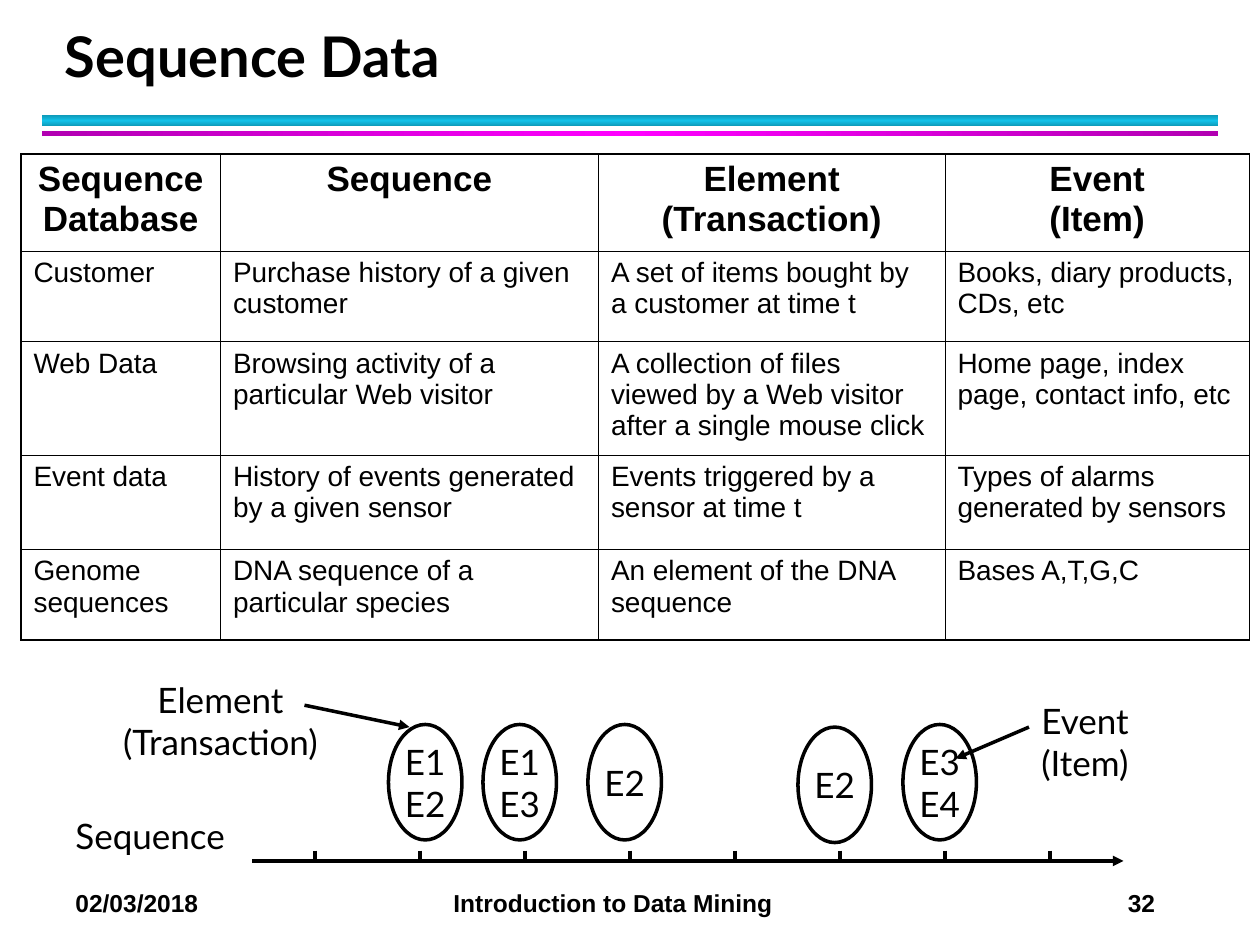
from copy import deepcopy
from typing import NamedTuple

from lxml.etree import SubElement
from pptx import Presentation
from pptx.dml.color import RGBColor
from pptx.enum.shapes import MSO_CONNECTOR, MSO_SHAPE
from pptx.enum.text import MSO_ANCHOR, PP_ALIGN
from pptx.oxml.ns import qn
from pptx.util import Pt

BLACK = RGBColor(0x00, 0x00, 0x00)
TEAL = RGBColor(0x0E, 0x9B, 0xBA)
CYAN = RGBColor(0x12, 0xC2, 0xE9)
PURPLE = RGBColor(0xB2, 0x00, 0xB2)
MAGENTA = RGBColor(0xFF, 0x00, 0xFF)
HEADING, BODY = "Lato", "Arial"
THIN, THICK = 0.45, 1.08
LINE = 2


class Bar(NamedTuple):
    top: float
    height: float
    edge: RGBColor
    middle: RGBColor
    angle: float


class Label(NamedTuple):
    text: str
    left: float
    top: float
    width: float
    height: float
    align: PP_ALIGN = PP_ALIGN.LEFT


class Element(NamedTuple):
    events: str
    left: float
    top: float = 414


class Line(NamedTuple):
    x1: float
    y1: float
    x2: float
    y2: float
    arrow: bool = False


BARS = [Bar(66, 6, TEAL, CYAN, 90), Bar(75, 3, PURPLE, MAGENTA, 0)]

COLUMNS = [114, 216, 198, 174]
ROWS = [55.5, 51.75, 64.8, 54, 51.75]
CELLS = [
    ["Sequence Database", "Sequence", "Element (Transaction)", "Event\v(Item)"],
    ["Customer", "Purchase history of a given customer",
     "A set of items bought by a customer at time t",
     "Books, diary products, CDs, etc"],
    ["Web Data", "Browsing activity of a particular Web visitor",
     "A collection of files viewed by a Web visitor after a single mouse click",
     "Home page, index page, contact info, etc"],
    ["Event data", "History of events generated by a given sensor",
     "Events triggered by a sensor at time t",
     "Types of alarms generated by sensors"],
    ["Genome sequences", "DNA sequence of a particular species",
     "An element of the DNA sequence", "Bases A,T,G,C"],
]

ELEMENTS = [Element("E1\vE2", 222), Element("E1\vE3", 276), Element("E2", 336),
            Element("E3\vE4", 516), Element("E2", 456, 415.5)]
LABELS = [Label("Sequence", 36, 462, 120, 31.5),
          Label("Element (Transaction)", 54, 384, 144, 55.5, PP_ALIGN.CENTER),
          Label("Event\v(Item)", 588, 396, 78, 55.5)]
AXIS_Y = 492
TICKS = [Line(x, AXIS_Y - 6, x, AXIS_Y) for x in range(180, 601, 60)]
ARROWS = [Line(144, AXIS_Y, 642, AXIS_Y, True),
          Line(174, 403, 234, 415.5, True),
          Line(588, 415.5, 546, 433.5, True)]


def write(tf, text: str, font: str, size: float, bold: bool = False,
          align: PP_ALIGN = PP_ALIGN.LEFT):
    tf.text = text
    p = tf.paragraphs[0]
    p.alignment = align
    for r in p.runs:
        r.font.name, r.font.size, r.font.bold = font, Pt(size), bold
        r.font.color.rgb = BLACK
    return p


def add_label(slide, label: Label, font: str = HEADING, size: float = 20,
              bold: bool = False):
    s = slide.shapes.add_textbox(*map(Pt, label[1:5]))
    s.text_frame.word_wrap = True
    return s.text_frame, write(s.text_frame, label.text, font, size, bold, label.align)


def add_bar(slide, bar: Bar) -> None:
    s = slide.shapes.add_shape(MSO_SHAPE.RECTANGLE, Pt(24), Pt(bar.top),
                               Pt(672), Pt(bar.height))
    s.shadow.inherit = False
    s.line.fill.background()
    s.fill.gradient()
    s.fill.gradient_angle = bar.angle
    stop_list = s.fill._xPr.find(".//" + qn("a:gsLst"))
    stop_list.insert(1, deepcopy(stop_list[0]))
    colors = (bar.edge, bar.middle, bar.edge)
    for stop, position, color in zip(s.fill.gradient_stops, (0, 0.5, 1), colors):
        stop.position = position
        stop.color.rgb = color


def set_borders(cell, widths: dict[str, float]) -> None:
    tc_pr = cell._tc.get_or_add_tcPr()
    for side, width in widths.items():
        ln = SubElement(tc_pr, qn(f"a:ln{side}"), w=str(Pt(width)))
        fill = SubElement(ln, qn("a:solidFill"))
        SubElement(fill, qn("a:srgbClr"), val=str(BLACK))


def add_data_table(slide) -> None:
    table = slide.shapes.add_table(len(ROWS), len(COLUMNS), Pt(12), Pt(88),
                                   Pt(sum(COLUMNS)), Pt(sum(ROWS))).table
    table.first_row = table.horz_banding = False
    for column, width in zip(table.columns, COLUMNS):
        column.width = Pt(width)
    for i, height in enumerate(ROWS):
        table.rows[i].height = Pt(height)
        for j, text in enumerate(CELLS[i]):
            cell = table.cell(i, j)
            outer = {"L": j == 0, "R": j == len(COLUMNS) - 1,
                     "T": i == 0, "B": i == len(ROWS) - 1}
            set_borders(cell, {side: THICK if edge else THIN
                               for side, edge in outer.items()})
            cell.fill.background()
            if i == 0:
                write(cell.text_frame, text, BODY, 20, True, PP_ALIGN.CENTER)
            else:
                write(cell.text_frame, text, BODY, 16)


def add_line(slide, line: Line) -> None:
    s = slide.shapes.add_connector(MSO_CONNECTOR.STRAIGHT, *map(Pt, line[:4]))
    s.line.color.rgb = BLACK
    s.line.width = Pt(LINE)
    if line.arrow:
        SubElement(s.line._get_or_add_ln(), qn("a:tailEnd"), type="triangle")
    SubElement(s._element.spPr, qn("a:effectLst"))


def add_element(slide, element: Element) -> None:
    s = slide.shapes.add_shape(MSO_SHAPE.OVAL, Pt(element.left), Pt(element.top),
                               Pt(42), Pt(66))
    s.shadow.inherit = False
    s.fill.background()
    s.line.color.rgb = BLACK
    s.line.width = Pt(LINE)
    s.text_frame.word_wrap = False
    s.text_frame.vertical_anchor = MSO_ANCHOR.MIDDLE
    write(s.text_frame, element.events, HEADING, 20, align=PP_ALIGN.CENTER)


def main() -> None:
    prs = Presentation()
    prs.slide_width, prs.slide_height = Pt(720), Pt(540)
    slide = prs.slides.add_slide(prs.slide_layouts[6])

    # Rules under the title
    for bar in BARS:
        add_bar(slide, bar)

    # Footer: date, course, page number
    footer = Label("02/03/2018\tIntroduction to Data Mining\t32", 36, 504, 672, 24.5)
    _, p = add_label(slide, footer, BODY, 14, True)
    tabs = SubElement(p._p.get_or_add_pPr(), qn("a:tabLst"))
    for position, align in ((216, "l"), (617, "r")):
        SubElement(tabs, qn("a:tab"), pos=str(Pt(position)), algn=align)

    # Title
    tf, p = add_label(slide, Label("Sequence Data", 30, 12, 652, 42), HEADING, 32, True)
    tf.vertical_anchor = MSO_ANCHOR.BOTTOM
    p.line_spacing = Pt(36)

    add_data_table(slide)

    # Sequence timeline
    for element in ELEMENTS:
        add_element(slide, element)
    for line in ARROWS + TICKS:
        add_line(slide, line)
    for label in LABELS:
        add_label(slide, label)

    prs.save("out.pptx")


if __name__ == "__main__":
    main()
